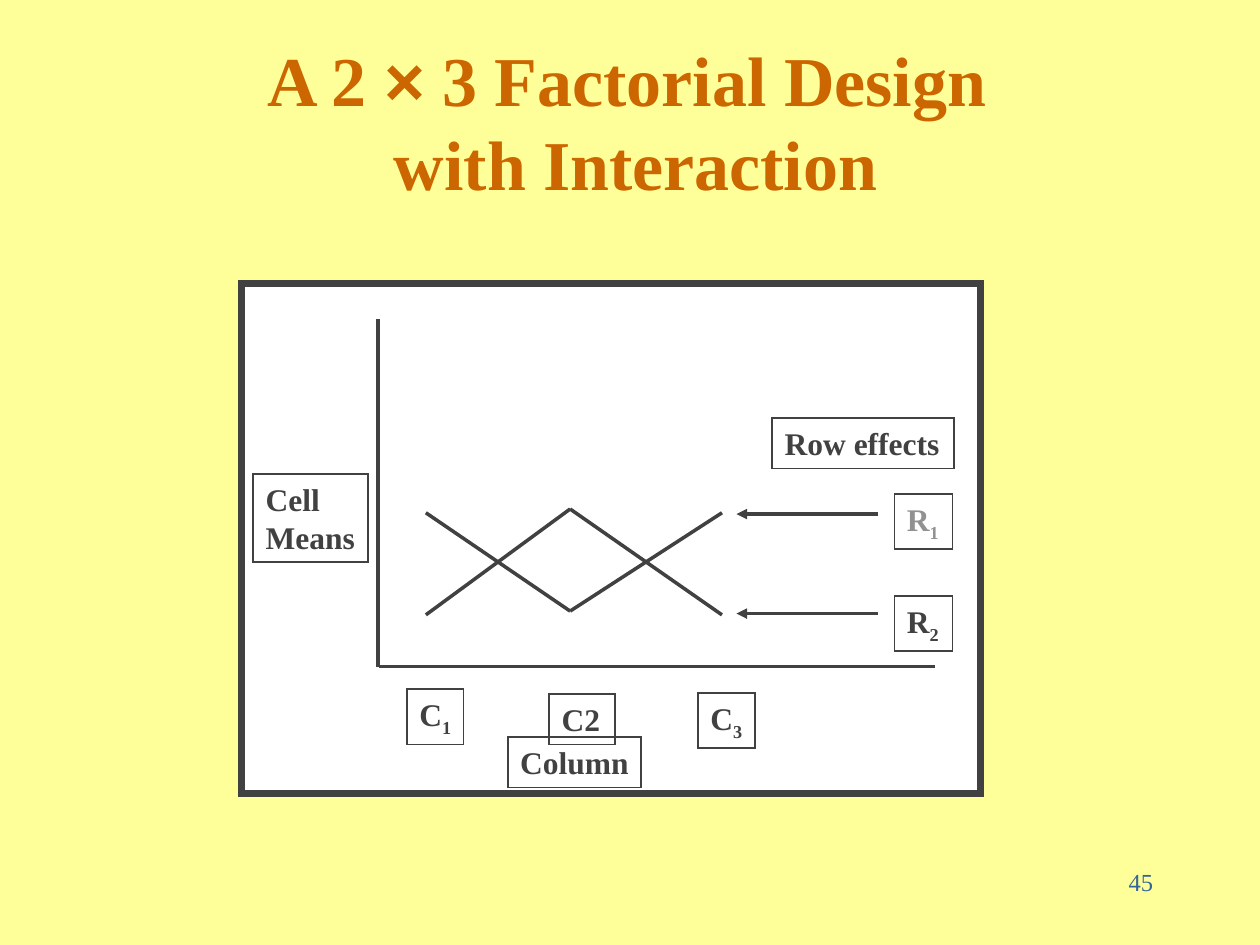
from lxml.etree import SubElement
from pptx import Presentation
from pptx.dml.color import RGBColor
from pptx.enum.shapes import MSO_CONNECTOR, MSO_SHAPE
from pptx.enum.text import MSO_ANCHOR, MSO_AUTO_SIZE, PP_ALIGN
from pptx.oxml.ns import qn
from pptx.util import Inches, Pt

FONT = "Times New Roman"
INK, GREY, ORANGE, BLUE = "414141", "919191", "CC6600", "336699"
CELL = 0.1


def grid(*cells):
    """Turn counts of grid cells into lengths."""
    return [Inches(n * CELL) for n in cells]


def paint(target, colour):
    """Give a fill or a font colour a hex value."""
    if hasattr(target, "solid"):
        target.solid()
        target = target.fore_color
    target.rgb = RGBColor.from_string(colour)


def style(p, size, colour, bold=False, align=PP_ALIGN.LEFT):
    """Set the common look of a paragraph."""
    p.alignment = align
    p.font.name, p.font.size, p.font.bold = FONT, Pt(size), bold
    paint(p.font.color, colour)


def add_run(p, text, font=None, subscript=False):
    """Append a run, optionally in another font or lowered."""
    r = p.add_run()
    r.text = text
    if font:
        r.font.name = font
    if subscript:
        r._r.get_or_add_rPr().set("baseline", "-25000")


def add_box(s, box, width, fill=None):
    """Draw an outlined rectangle with sharp corners."""
    sp = s.shapes.add_shape(MSO_SHAPE.RECTANGLE, *grid(*box))
    sp.shadow.inherit = False
    if fill:
        paint(sp.fill, fill)
    else:
        sp.fill.background()
    paint(sp.line.fill, INK)
    sp.line.width = Pt(width)
    SubElement(sp.line._get_or_add_ln(), qn("a:miter"), lim="800000")
    return sp


def add_label(s, box, lines, subscript="", colour=INK):
    """Draw a framed label, with an optional subscript after its last line."""
    tf = add_box(s, box, 1).text_frame
    tf.word_wrap = False
    tf.auto_size = MSO_AUTO_SIZE.SHAPE_TO_FIT_TEXT
    tf.vertical_anchor = MSO_ANCHOR.TOP
    for i, line in enumerate(lines):
        p = tf.add_paragraph() if i else tf.paragraphs[0]
        style(p, 18, colour, bold=True)
        add_run(p, line)
    if subscript:
        add_run(p, subscript, subscript=True)


def add_line(s, x1, y1, x2, y2, arrow=False):
    """Draw a straight line, with an optional arrowhead at its end."""
    c = s.shapes.add_connector(MSO_CONNECTOR.STRAIGHT, *grid(x1, y1, x2, y2))
    paint(c.line.fill, INK)
    c.line.width = Pt(2)
    if arrow:
        SubElement(c.line._get_or_add_ln(), qn("a:tailEnd"), type="triangle")
    SubElement(c._element.spPr, qn("a:effectLst"))


def add_text(s, box):
    """Add a wrapping text box and return its text frame."""
    tf = s.shapes.add_textbox(*grid(*box)).text_frame
    tf.word_wrap = True
    return tf


def add_title(s):
    """Write the two-line title."""
    tf = add_text(s, (4.2, 3.3, 92.5, 12.5))
    tf.vertical_anchor = MSO_ANCHOR.MIDDLE
    p = tf.paragraphs[0]
    style(p, 40, ORANGE, bold=True, align=PP_ALIGN.CENTER)
    add_run(p, "A 2 ")
    add_run(p, "×", font="Arial")
    add_run(p, " 3 Factorial Design ")
    p.add_line_break()
    add_run(p, "with Interaction")


def add_plot(s):
    """Draw the panel, axes, crossing row effects and labels."""
    add_box(s, (19.2, 22.5, 58.6, 40.5), 4, "FFFFFF")
    add_line(s, 30, 25.3, 30, 52.9)
    add_line(s, 30.1, 52.9, 74.2, 52.9)
    left, middle, right = 33.8, 45.25, 57.3
    for outer, inner in ((40.7, 48.5), (48.8, 40.4)):
        for x in (left, right):
            add_line(s, x, outer, middle, inner)
    for y in (40.8, 48.7):
        add_line(s, 69.7, y, 58.45, y, arrow=True)
    add_label(s, (20.1, 37.6, 9.1, 7), ["Cell", "Means"])
    add_label(s, (32.3, 54.7, 4.5, 4.4), ["C"], "1")
    add_label(s, (43.6, 55.1, 5.2, 4), ["C2"])
    add_label(s, (55.4, 55, 4.5, 4.4), ["C"], "3")
    add_label(s, (61.3, 33.2, 14.4, 4), ["Row effects"])
    add_label(s, (71, 39.2, 4.6, 4.4), ["R"], "1", GREY)
    add_label(s, (71, 47.3, 4.6, 4.4), ["R"], "2")
    add_label(s, (40.3, 58.5, 10.6, 4), ["Column"])


def add_page_number(s):
    """Write the page number."""
    p = add_text(s, (84.2, 68.3, 8.3, 5)).paragraphs[0]
    style(p, 14, BLUE, align=PP_ALIGN.RIGHT)
    add_run(p, "45")


def main():
    """Build the slide and save it."""
    prs = Presentation()
    prs.slide_width, prs.slide_height = grid(100, 75)
    s = prs.slides.add_slide(prs.slide_layouts[6])
    paint(s.background.fill, "FFFF99")
    add_title(s)
    add_plot(s)
    add_page_number(s)
    prs.save("out.pptx")


if __name__ == "__main__":
    main()
